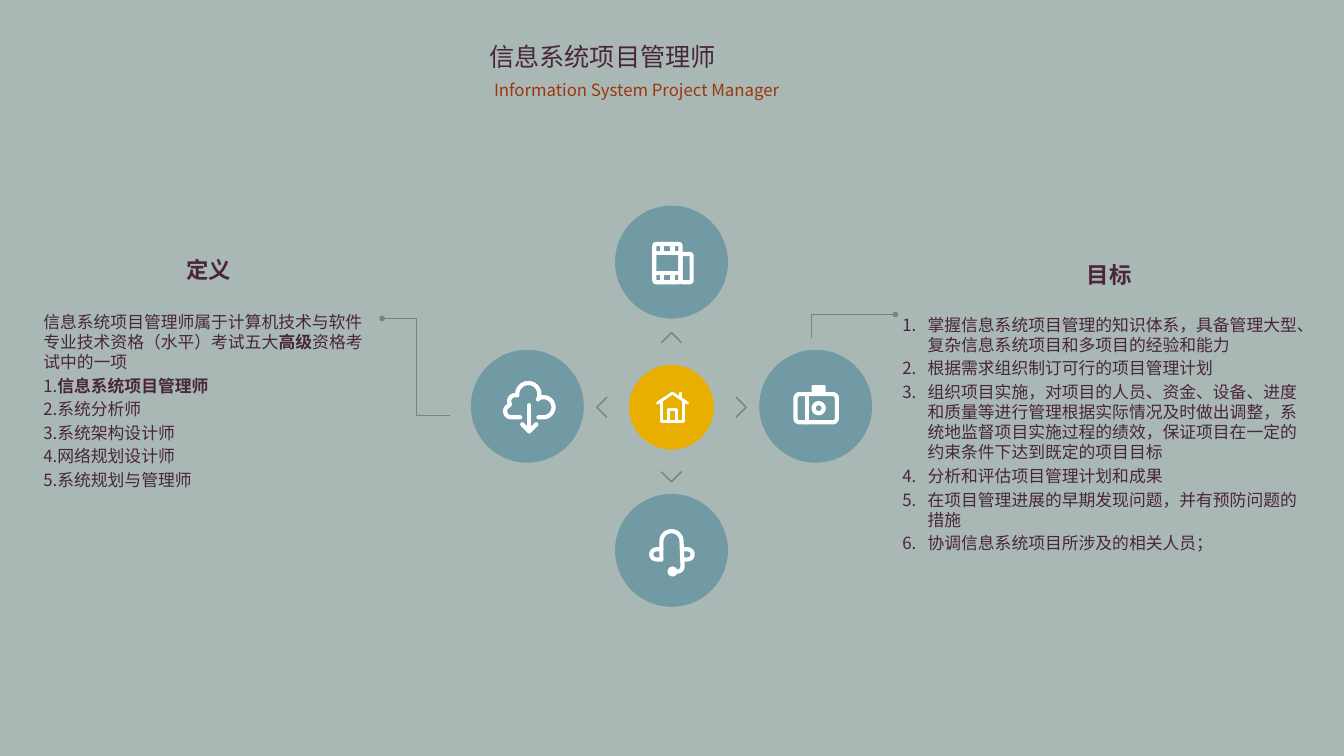
import math

import lxml.etree
import pptx
import pptx.dml.color
import pptx.enum.shapes
import pptx.enum.text
import pptx.oxml.ns
import pptx.util

Inches = pptx.util.Inches
Pt = pptx.util.Pt
Align = pptx.enum.text.PP_ALIGN
Shape = pptx.enum.shapes.MSO_SHAPE

COLORS = {"background": "A9B8B5", "text": "492638", "subtitle": "9C370D",
          "circle": "719AA4", "hub": "E8AF01", "rule": "808080", "icon": "FFFFFF"}
FONT = "Noto Sans CJK SC"
ICON_WIDTH = 3
HUB = (6.66, 4.04)

DEFINITION = [
    [("信息系统项目管理师属于计算机技术与软件专业技术资格（水平）考试五大", False),
     ("高级", True), ("资格考试中的一项", False)],
    [("1.", False), ("信息系统项目管理师", True)],
    [("2.系统分析师", False)],
    [("3.系统架构设计师", False)],
    [("4.网络规划设计师", False)],
    [("5.系统规划与管理师", False)],
]
GOALS = [
    "掌握信息系统项目管理的知识体系，具备管理大型、复杂信息系统项目和多项目的经验和能力",
    "根据需求组织制订可行的项目管理计划",
    "组织项目实施，对项目的人员、资金、设备、进度和质量等进行管理根据实际情况及时做出调整，"
    "系统地监督项目实施过程的绩效，保证项目在一定的约束条件下达到既定的项目目标",
    "分析和评估项目管理计划和成果",
    "在项目管理进展的早期发现问题，并有预防问题的措施",
    "协调信息系统项目所涉及的相关人员；",
]


def rgb(name):
    return pptx.dml.color.RGBColor.from_string(COLORS[name])


def add_xml(parent, tag, **attributes):
    return lxml.etree.SubElement(parent, pptx.oxml.ns.qn(tag), attributes)


def set_values(target, values):
    for name, value in values.items():
        setattr(target, name, value)


def arc(x, y, radius, start, end, steps=16):
    """Points along an arc; degrees run clockwise from the right."""
    angles = [math.radians(start + (end - start) * i / steps) for i in range(steps + 1)]
    return [(x + radius * math.cos(a), y + radius * math.sin(a)) for a in angles]


def rounded_frame(left, top, right, bottom, radius=0.02):
    """Points around a rectangle with rounded corners, back to the first."""
    corners = [(right - radius, bottom - radius), (left + radius, bottom - radius),
               (left + radius, top + radius), (right - radius, top + radius)]
    points = [point for turn, corner in enumerate(corners)
              for point in arc(*corner, radius, 90 * turn, 90 * turn + 90, 6)]
    return points + points[:1]


class SlideBuilder:
    def __init__(self, deck):
        self.slide = deck.slides.add_slide(deck.slide_layouts[5])
        self.shapes = self.slide.shapes
        self.slide.background.fill.solid()
        self.slide.background.fill.fore_color.rgb = rgb("background")

    def span(self, para, text, size, color="text", bold=False):
        span = para.add_run()
        span.text = text
        set_values(span.font, {"name": FONT, "size": Pt(size), "bold": bold})
        span.font.color.rgb = rgb(color)
        add_xml(span.font._element, "a:ea", typeface=FONT)

    def title(self, title, subtitle):
        box = self.shapes.title
        set_values(box, {"left": Inches(4.75), "top": Inches(0.36),
                         "width": Inches(3.81), "height": Inches(0.71)})
        frame = box.text_frame
        set_values(frame, {"word_wrap": True,
                           "auto_size": pptx.enum.text.MSO_AUTO_SIZE.SHAPE_TO_FIT_TEXT,
                           "vertical_anchor": pptx.enum.text.MSO_ANCHOR.TOP})
        first, second = frame.paragraphs[0], frame.add_paragraph()
        first.alignment = second.alignment = Align.JUSTIFY
        second.space_before = Pt(5.7)
        second._p.get_or_add_pPr().set("marL", str(Inches(0.05)))
        self.span(first, title, 18)
        self.span(second, subtitle, 12, "subtitle")

    def text(self, place, paragraphs, size=12, numbered=False, **para_format):
        box = self.shapes.add_textbox(*map(Inches, place))
        frame = box.text_frame
        margins = dict.fromkeys(
            ("margin_left", "margin_top", "margin_right", "margin_bottom"), 0)
        set_values(frame, {"word_wrap": True, **margins})
        for index, spans in enumerate(paragraphs):
            para = frame.add_paragraph() if index else frame.paragraphs[0]
            if numbered:
                properties = para._p.get_or_add_pPr()
                properties.set("marL", str(Inches(0.25)))
                properties.set("indent", str(-Inches(0.25)))
                add_xml(properties, "a:buFont", typeface="+mj-lt")
                add_xml(properties, "a:buAutoNum", type="arabicPeriod")
            set_values(para, para_format)
            if index:
                para.space_before = Pt(size * 0.2)
            for text, bold in spans:
                self.span(para, text, size, bold=bold)

    def heading(self, place, text):
        self.text(place, [[(text, True)]], 16, alignment=Align.CENTER, line_spacing=1.2)

    def filled(self, kind, center, width, height, color):
        x, y = center
        shape = self.shapes.add_shape(kind, Inches(x - width / 2), Inches(y - height / 2),
                                      Inches(width), Inches(height))
        shape.shadow.inherit = False
        shape.fill.solid()
        shape.fill.fore_color.rgb = rgb(color)
        shape.line.fill.background()

    def circle(self, center, size, color):
        self.filled(Shape.OVAL, center, size, size, color)

    def stroke(self, *contours, color="icon", width=ICON_WIDTH, dot=False):
        """One unfilled outline made of one or more point lists."""
        contours = [[(Inches(x), Inches(y)) for x, y in points] for points in contours]
        builder = self.shapes.build_freeform(*contours[0][0])
        for index, points in enumerate(contours):
            if index:
                builder.move_to(*points[0])
            builder.add_line_segments(points[1:], close=False)
        shape = builder.convert_to_shape()
        shape.shadow.inherit = False
        shape.fill.background()
        shape.line.color.rgb = rgb(color)
        shape.line.width = Pt(width)
        line = shape.line._get_or_add_ln()
        if color == "icon":
            line.set("cap", "rnd")
            add_xml(line, "a:round")
        if dot:
            add_xml(line, "a:tailEnd", type="oval", w="sm", len="sm")

    def film_icon(self):
        rails = [[(6.49, y), (6.75, y)] for y in (2.51, 2.71)]
        holes = [[(x, rail), (x, edge)] for x in (6.57, 6.67)
                 for rail, edge in ((2.51, 2.42), (2.71, 2.8))]
        self.stroke(rounded_frame(6.49, 2.42, 6.75, 2.8),
                    rounded_frame(6.75, 2.52, 6.86, 2.8), *rails, *holes)

    def cloud_icon(self):
        self.stroke([(5.16, 4.14), *arc(5.07, 4.08, 0.06, 90, 250),
                     *arc(5.11, 3.98, 0.06, 150, 290), *arc(5.24, 3.91, 0.11, 180, 390),
                     *arc(5.39, 4.04, 0.1, 235, 450), (5.34, 4.14)])
        self.stroke([(5.25, 4.02), (5.25, 4.28)],
                    [(5.18, 4.21), (5.25, 4.28), (5.32, 4.21)])

    def headset_icon(self):
        self.stroke([(6.56, 5.55), *arc(6.66, 5.37, 0.1, 180, 360),
                     *arc(6.72, 5.62, 0.05, 0, 90), (6.67, 5.67)],
                    [(6.56, 5.45), *arc(6.51, 5.5, 0.05, 270, 90), (6.56, 5.55)],
                    [(6.77, 5.45), *arc(6.82, 5.5, 0.05, 270, 450), (6.77, 5.55)])
        self.circle((6.67, 5.67), 0.1, "icon")

    def camera_icon(self):
        self.stroke(rounded_frame(7.89, 3.91, 8.3, 4.19, 0.04), [(8, 3.91), (8, 4.19)])
        self.filled(Shape.ROUNDED_RECTANGLE, (8.12, 3.87), 0.14, 0.1, "icon")
        self.stroke(arc(8.12, 4.05, 0.05, 0, 360))

    def house_icon(self):
        self.stroke([(6.52, 4), (6.67, 3.9), (6.82, 4)],
                    [(6.56, 3.98), (6.56, 4.18), (6.78, 4.18), (6.78, 3.98)],
                    [(6.63, 4.17), (6.63, 4.06), (6.71, 4.06), (6.71, 4.17)],
                    [(6.75, 3.9), (6.75, 3.95)], width=2)


def main():
    deck = pptx.Presentation()
    set_values(deck, {"slide_width": Inches(13.33), "slide_height": Inches(7.5)})
    page = SlideBuilder(deck)
    page.title("信息系统项目管理师", "Information System Project Manager")

    x, y = HUB
    page.circle((x, y), 0.84, "hub")
    for dx, dy in ((0, -1), (1, 0), (-1, 0), (0, 1)):
        page.circle((x + 1.43 * dx, y - 0.01 + 1.43 * dy), 1.12, "circle")
        tip_x, tip_y = x + 0.74 * dx, y + 0.74 * dy
        page.stroke([(tip_x - 0.1 * (dx + side * dy), tip_y - 0.1 * (dy + side * dx))
                     if side else (tip_x, tip_y) for side in (-1, 0, 1)],
                    color="rule", width=1)
    for points in ([(4.46, 4.12), (4.13, 4.12), (4.13, 3.16), (3.79, 3.16)],
                   [(8.05, 3.35), (8.05, 3.12), (8.88, 3.12)]):
        page.stroke(points, color="rule", width=0.5, dot=True)

    page.film_icon()
    page.cloud_icon()
    page.headset_icon()
    page.camera_icon()
    page.house_icon()

    page.heading((0.43, 2.49, 3.28, 0.32), "定义")
    page.text((0.43, 3.09, 3.28, 1.82), DEFINITION)
    page.heading((9.13, 2.54, 3.74, 0.32), "目标")
    page.text((8.95, 3.12, 3.92, 2.42), [[(goal, False)] for goal in GOALS], numbered=True)
    deck.save("out.pptx")


if __name__ == "__main__":
    main()
